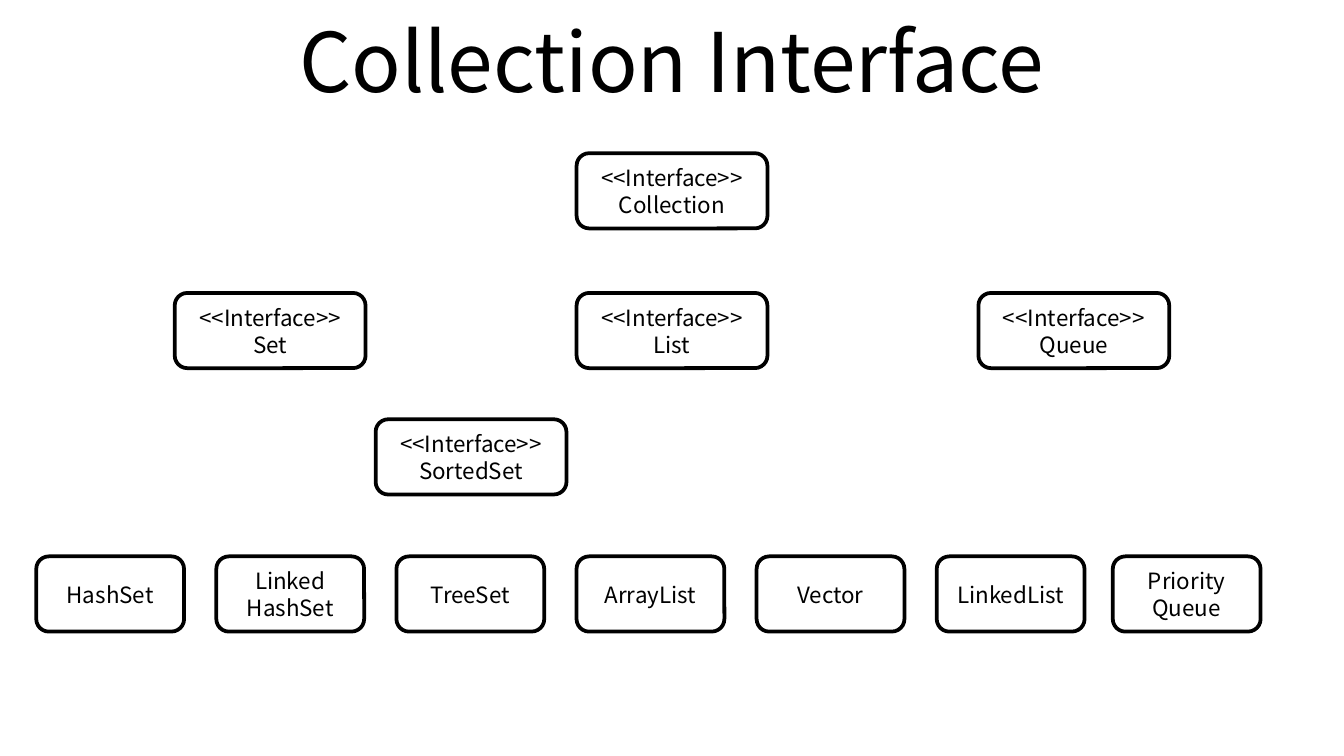
from pptx import Presentation
from pptx.dml.color import RGBColor
from pptx.enum.shapes import MSO_SHAPE
from pptx.enum.text import MSO_ANCHOR, PP_ALIGN
from pptx.util import Inches, Pt

ROUND = MSO_SHAPE.ROUNDED_RECTANGLE
MIDDLE = MSO_ANCHOR.MIDDLE
CENTER = PP_ALIGN.CENTER
BLACK = RGBColor(0x00, 0x00, 0x00)
WHITE = RGBColor(0xFF, 0xFF, 0xFF)
FONT = "Noto Sans CJK KR"
TITLE_ONLY = 5
WIDE = 10
HIGH = WIDE * 9 / 16

# Box height and the tops of the four levels
BOX_H = 0.56
TOPS = (1.14, 2.18, 3.12, 4.14)

# Interfaces: name, column, level
TYPES = (
    ("Collection", 2, 0),
    ("Set", 0, 1),
    ("List", 2, 1),
    ("Queue", 4, 1),
    ("SortedSet", 1, 2),
)
CLASSES = (
    "HashSet", "Linked\nHashSet", "TreeSet", "ArrayList",
    "Vector", "LinkedList", "Priority\nQueue",
)


def place(shape, box):
    shape.left, shape.top, shape.width, shape.height = map(Inches, box)


def write(shape, text, size, pitch):
    frame = shape.text_frame
    frame.text = text
    frame.word_wrap = True
    frame.vertical_anchor = MIDDLE
    for para in frame.paragraphs:
        para.alignment = CENTER
        para.line_spacing = Pt(pitch)
        para.font.name = FONT
        para.font.size = Pt(size)
        para.font.color.rgb = BLACK


def add_title(slide, box):
    title = slide.shapes.title
    place(title, box)
    write(title, "Collection Interface", 44, 52)


def add_box(slide, text, box):
    shape = slide.shapes.add_shape(ROUND, *map(Inches, box))
    shape.shadow.inherit = False
    shape.fill.solid()
    shape.fill.fore_color.rgb = WHITE
    shape.line.color.rgb = BLACK
    shape.line.width = Pt(2)
    write(shape, text, 12, 14.5)


def add_types(slide, left, width):
    """Interfaces on five columns, spread evenly over the given width."""
    box_w = 1.42
    step = (width - box_w) / 4
    for name, col, level in TYPES:
        box = (left + col * step, TOPS[level], box_w, BOX_H)
        add_box(slide, "<<Interface>>\n" + name, box)


def add_classes(slide, left, top):
    """One row of classes; the last one sits a little closer."""
    step, nudge = 1.34, 0.03
    last = len(CLASSES) - 1
    for col, name in enumerate(CLASSES):
        x = left + col * step - (nudge if col == last else 0)
        add_box(slide, name, (x, top, 1.1, BOX_H))


def main():
    prs = Presentation()
    prs.slide_width, prs.slide_height = Inches(WIDE), Inches(HIGH)
    slide = prs.slides.add_slide(prs.slide_layouts[TITLE_ONLY])
    add_title(slide, (0.05 * WIDE, -0.02, 0.9 * WIDE, 0.94))
    add_types(slide, 0.13 * WIDE, 0.74 * WIDE)
    add_classes(slide, 0.27, TOPS[3])
    prs.save("out.pptx")


if __name__ == "__main__":
    main()
